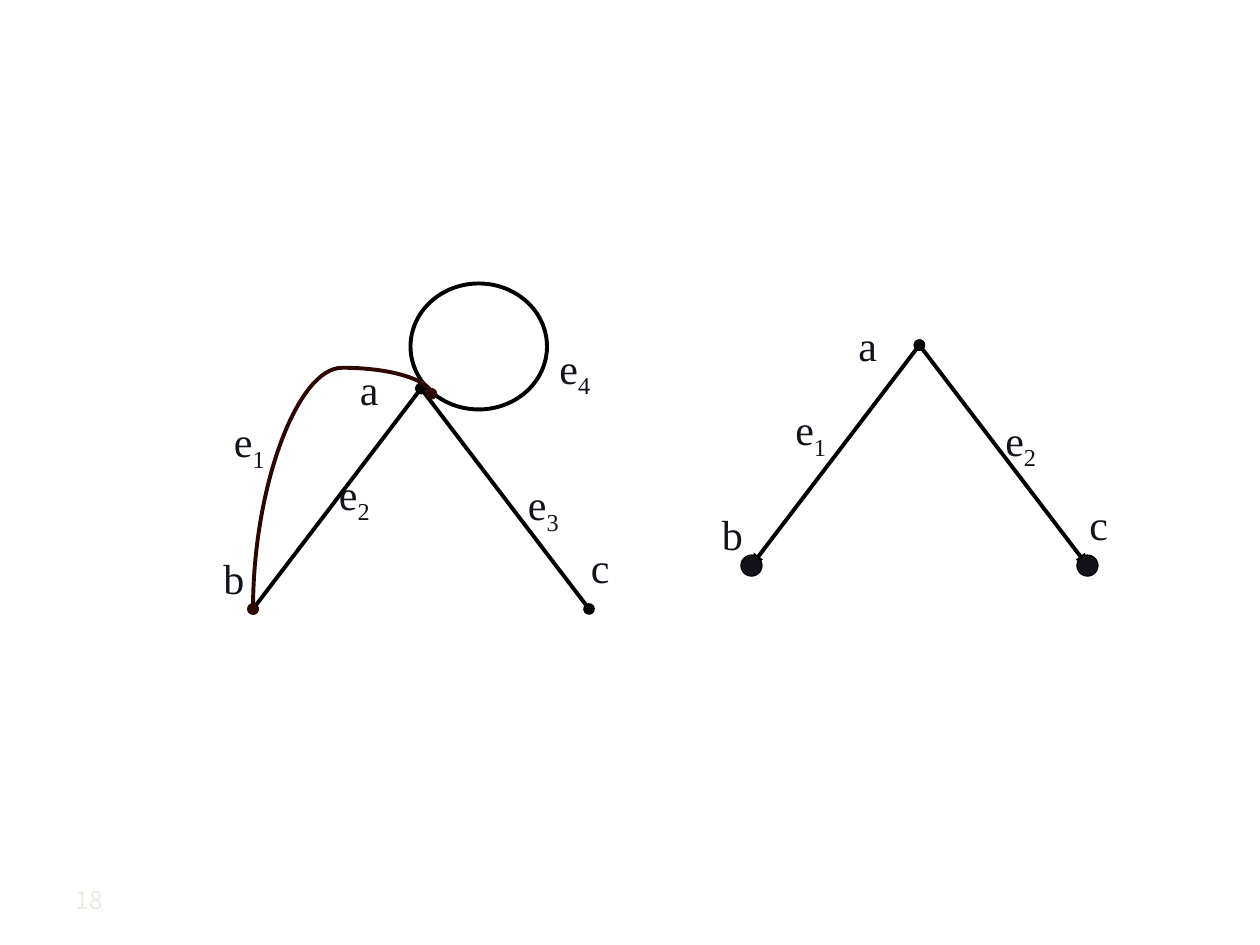
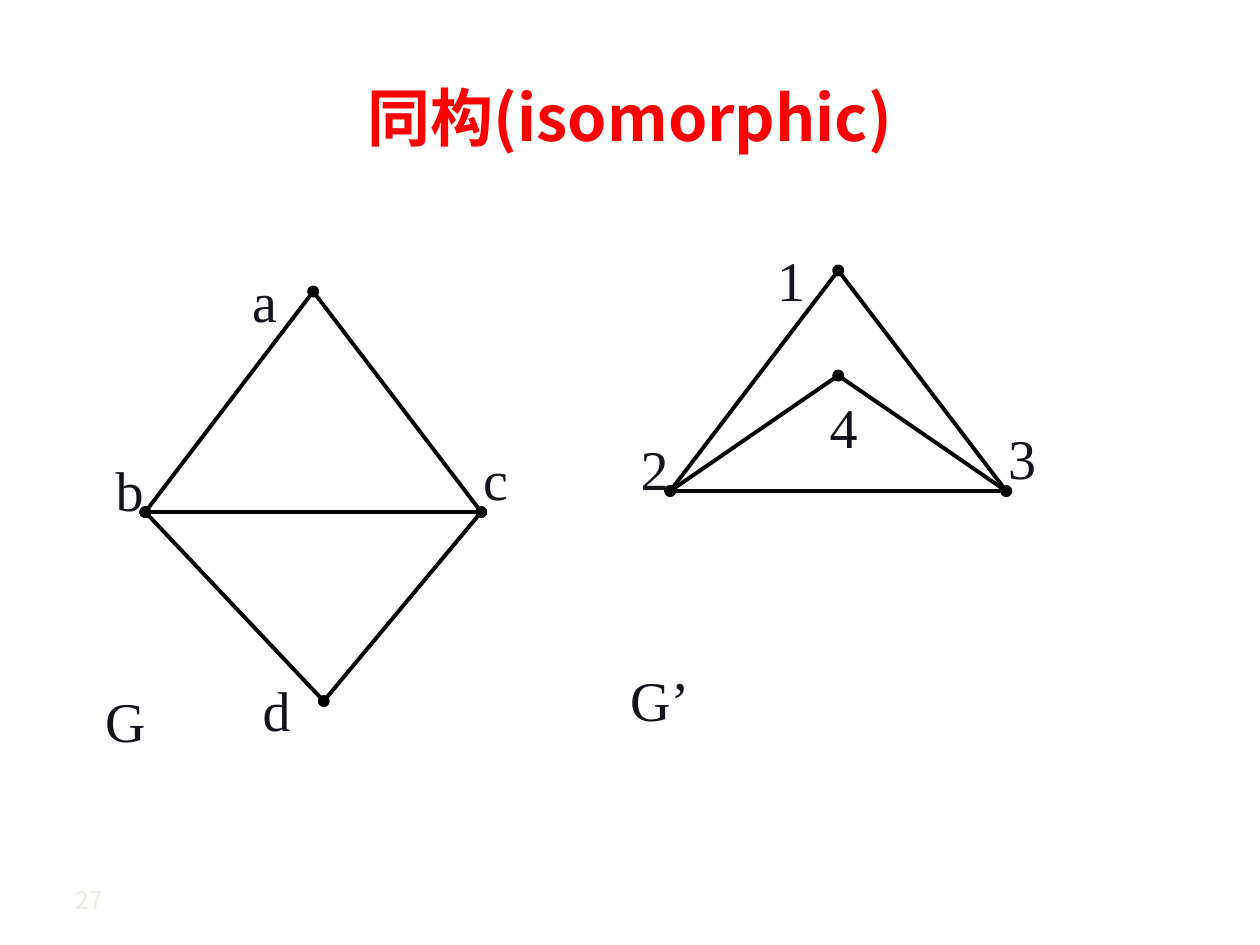
"""Build two slides of small labelled graphs: loops and arrows, then isomorphism."""
from dataclasses import dataclass

from pptx import Presentation
from pptx.dml.color import RGBColor
from pptx.enum.shapes import MSO_CONNECTOR, MSO_SHAPE
from pptx.enum.text import MSO_ANCHOR, MSO_AUTO_SIZE, PP_ALIGN
from pptx.oxml.ns import qn
from pptx.oxml.xmlchemy import OxmlElement
from pptx.util import Pt

STRAIGHT, CURVE = MSO_CONNECTOR.STRAIGHT, MSO_CONNECTOR.CURVE
OVAL = MSO_SHAPE.OVAL
MIDDLE, TOP = MSO_ANCHOR.MIDDLE, MSO_ANCHOR.TOP
CENTER, LEFT = PP_ALIGN.CENTER, PP_ALIGN.LEFT
GROW, FIXED = MSO_AUTO_SIZE.SHAPE_TO_FIT_TEXT, MSO_AUTO_SIZE.NONE


@dataclass(frozen=True)
class Theme:
    ink: str = "13131B"
    edge: str = "000000"
    arc: str = "2D0801"
    title: str = "FF0000"
    page: str = "EEECE1"
    label_font: str = "Times New Roman"
    sans_font: str = "Noto Sans CJK SC"
    title_size: float = 36
    page_size: float = 14
    edge_width: float = 2.25
    dot_outline: float = 0.75


THEME = Theme()
SLIDE_SIZE = (720, 540)
TITLE_BOX = (36, 21.6, 648, 90)
PAGE_BOX = (36, 496, 168, 36)
LABEL_HEIGHT = {24: 36, 32: 45}
NARROW, WIDE, WIDEST = 30, 42, 54
DOT = 12

TRIANGLE = {"top": (0, 0), "left": (-96, 126), "right": (96, 126)}
CORNER_LABELS = [(-42, -18), (-120, 90), (90, 84)]
SIDES = [("top", "right"), ("top", "left")]

SLIDES = [
    {
        "page": "18",
        "label_size": 24,
        "graphs": [
            {
                "apex": (525.4, 197.2),
                "corners": "abc",
                "edges": SIDES,
                "tail": "triangle",
                "dots": ["left", "right"],
                "labels": [("e", "1", -78, 30, WIDE), ("e", "2", 42, 36, WIDE)],
            },
            {
                "apex": (240.6, 222),
                "corners": "abc",
                "edges": SIDES,
                "loop": (-6, -60, 78, 72),
                "arc": {"start": "left", "end": (6, 3), "bend": 1.121},
                "labels": [
                    ("e", "1", -114, 12, WIDE),
                    ("e", "3", 54, 48, WIDE),
                    ("e", "2", -54, 42, WIDE),
                    ("e", "4", 72, -30, WIDE),
                ],
            },
        ],
    },
    {
        "page": "27",
        "title": "同构(isomorphic)",
        "label_size": 32,
        "graphs": [
            {
                "apex": (179, 166.6),
                "corners": "abc",
                "extra": (6, 234),
                "edges": SIDES + [("extra", "right"), ("left", "right"), ("left", "extra")],
                "labels": [("d", "", -36, 216, NARROW), ("G", "", -126, 222, WIDE)],
            },
            {
                "apex": (479, 154.6),
                "corners": "123",
                "extra": (0, 60),
                "edges": SIDES + [("extra", "right"), ("left", "right"), ("left", "extra")],
                "labels": [("4", "", -12, 66, NARROW), ("G’", "", -126, 222, WIDEST)],
            },
        ],
    },
]


def add_child(parent, tag, **attributes):
    child = OxmlElement(tag)
    for key, value in attributes.items():
        child.set(key, value)
    parent.append(child)
    return child


def add_text(slide, text, box, *, size, font=THEME.label_font, color=THEME.ink, bold=False,
             align=LEFT, anchor=TOP, fit=FIXED, subscript="", before=None):
    frame = slide.shapes.add_textbox(*map(Pt, box)).text_frame
    frame.word_wrap = True
    frame.auto_size = fit
    frame.vertical_anchor = anchor
    paragraph = frame.paragraphs[0]
    paragraph.alignment = align
    if before:
        spacing = add_child(paragraph._p.get_or_add_pPr(), "a:spcBef")
        add_child(spacing, "a:spcPct", val=str(before * 1000))
    for part, baseline in ((text, 0), (subscript, -25)):
        if not part:
            continue
        run = paragraph.add_run()
        run.text = part
        run.font.size = Pt(size)
        run.font.bold = bold
        run.font.color.rgb = RGBColor.from_string(color)
        run.font.name = font
        properties = run._r.get_or_add_rPr()
        add_child(properties, "a:ea", typeface=font)
        if baseline:
            properties.set("baseline", str(baseline * 1000))


def add_edge(slide, start, end, *, kind=STRAIGHT, color=THEME.edge, tail="oval"):
    edge = slide.shapes.add_connector(kind, *map(Pt, start + end))
    edge.line.width = Pt(THEME.edge_width)
    edge.line.color.rgb = RGBColor.from_string(color)
    outline = edge._element.spPr.find(qn("a:ln"))
    add_child(outline, "a:headEnd", type="oval")
    add_child(outline, "a:tailEnd", type=tail)
    add_child(edge._element.spPr, "a:effectLst")
    return edge


def add_arc(slide, start, end, bend):
    center_x, center_y = (start[0] + end[0]) / 2, (start[1] + end[1]) / 2
    half_run, half_rise = (end[0] - start[0]) / 2, (start[1] - end[1]) / 2
    arc = add_edge(slide, (center_x - half_rise, center_y - half_run),
                   (center_x + half_rise, center_y + half_run), kind=CURVE, color=THEME.arc)
    properties = arc._element.spPr
    properties.find(qn("a:xfrm")).set("rot", str(270 * 60000))
    adjustments = properties.find(qn("a:prstGeom")).find(qn("a:avLst"))
    add_child(adjustments, "a:gd", name="adj1", fmla=f"val {round(bend * 100000)}")


def add_oval(slide, box, *, width, fill=None):
    oval = slide.shapes.add_shape(OVAL, *map(Pt, box))
    oval.shadow.inherit = False
    if fill:
        oval.fill.solid()
        oval.fill.fore_color.rgb = RGBColor.from_string(fill)
    else:
        oval.fill.background()
    oval.line.width = Pt(width)
    oval.line.color.rgb = RGBColor.from_string(THEME.edge)


def draw_graph(slide, graph, label_size):
    apex_x, apex_y = graph["apex"]

    def place(offset):
        return apex_x + offset[0], apex_y + offset[1]

    nodes = {name: place(offset) for name, offset in TRIANGLE.items()}
    if "extra" in graph:
        nodes["extra"] = place(graph["extra"])
    for start, end in graph["edges"]:
        add_edge(slide, nodes[start], nodes[end], tail=graph.get("tail", "oval"))
    if "loop" in graph:
        add_oval(slide, place(graph["loop"]) + graph["loop"][2:], width=THEME.edge_width)
    if "arc" in graph:
        arc = graph["arc"]
        add_arc(slide, nodes[arc["start"]], place(arc["end"]), arc["bend"])
    for name in graph.get("dots", []):
        x, y = nodes[name]
        add_oval(slide, (x - DOT / 2, y - DOT / 2, DOT, DOT),
                 width=THEME.dot_outline, fill=THEME.ink)
    corners = [(name, "", *offset, NARROW)
               for name, offset in zip(graph["corners"], CORNER_LABELS)]
    for name, index, dx, dy, width in corners + graph["labels"]:
        add_text(slide, name, place((dx, dy)) + (width, LABEL_HEIGHT[label_size]),
                 size=label_size, subscript=index, fit=GROW, before=50)


def main():
    deck = Presentation()
    deck.slide_width, deck.slide_height = map(Pt, SLIDE_SIZE)
    for content in SLIDES:
        slide = deck.slides.add_slide(deck.slide_layouts[6])
        if "title" in content:
            add_text(slide, content["title"], TITLE_BOX, size=THEME.title_size, bold=True,
                     font=THEME.sans_font, color=THEME.title, align=CENTER, anchor=MIDDLE)
        for graph in content["graphs"]:
            draw_graph(slide, graph, content["label_size"])
        add_text(slide, content["page"], PAGE_BOX, size=THEME.page_size,
                 font=THEME.sans_font, color=THEME.page, anchor=MIDDLE)
    deck.save("out.pptx")


if __name__ == "__main__":
    main()
